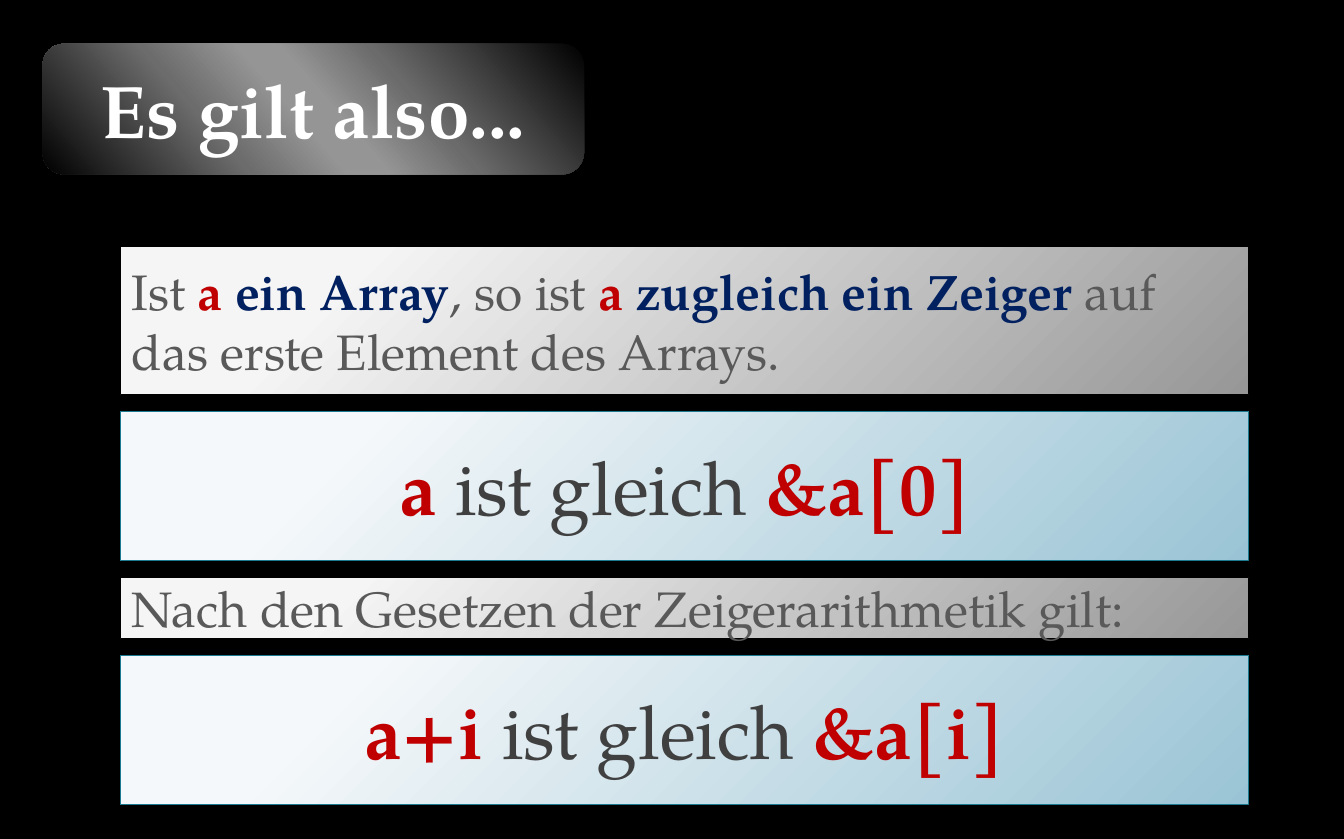
from dataclasses import dataclass

from lxml import etree
from pptx import Presentation
from pptx.dml.color import RGBColor
from pptx.enum.shapes import MSO_SHAPE as SHAPE
from pptx.enum.text import MSO_ANCHOR as ANCHOR, PP_ALIGN as ALIGN
from pptx.oxml.ns import qn
from pptx.util import Inches, Pt


@dataclass(frozen=True)
class Theme:
    font: str = "TeX Gyre Pagella"
    back: str = "000000"
    title: str = "FFFFFF"
    body: str = "595959"
    formula: str = "404040"
    code: str = "C00000"
    term: str = "002060"
    formula_line: str = "1B7990"
    body_size: int = 32
    large_size: int = 48
    title_stops: tuple = ((0, "000000"), (33, "6B6B6B"), (47, "959595"),
                          (53, "959595"), (68, "6C6C6C"), (100, "000000"))
    body_stops: tuple = ((20, "F5F5F5"), (100, "979797"))
    formula_stops: tuple = ((20, "F5F8FA"), (100, "9AC4D5"))


T = Theme()
WIDTH, HEIGHT = 12.01, 7.5
TITLE_BOX = (0.38, 0.39, 4.84, 1.17)
LEFT, TOP, PANEL_WIDTH, GAP = 1.08, 2.2, 10.08, 0.15
TALL, LOW = 1.33, 0.55


def set_gradient(s, stops, angle=None):
    """Fill linearly at an angle, or radially from the top left corner."""
    s.fill.gradient()
    grad = s.element.spPr.find(qn("a:gradFill"))
    for child in list(grad):
        grad.remove(child)
    gs_list = etree.SubElement(grad, qn("a:gsLst"))
    for pos, color in stops:
        gs = etree.SubElement(gs_list, qn("a:gs"), pos=str(pos * 1000))
        etree.SubElement(gs, qn("a:srgbClr"), val=color)
    if angle is None:
        circle = etree.SubElement(grad, qn("a:path"), path="circle")
        etree.SubElement(circle, qn("a:fillToRect"), l="-15000", t="-15000",
                         r="115000", b="115000")
    else:
        etree.SubElement(grad, qn("a:lin"), ang=str(angle * 60000), scaled="0")


def add_panel(slide, box, runs, size, stops, align, line=None,
              kind=SHAPE.RECTANGLE, angle=None):
    """Add a gradient box whose runs are (text, colour, bold)."""
    s = slide.shapes.add_shape(kind, *map(Inches, box))
    s.shadow.inherit = False
    set_gradient(s, stops, angle)
    if line:
        s.line.color.rgb = RGBColor.from_string(line)
        s.line.width = Pt(0.75)
    else:
        s.line.fill.background()
    tf = s.text_frame
    tf.word_wrap = True
    tf.vertical_anchor = ANCHOR.MIDDLE
    p = tf.paragraphs[0]
    p.alignment = align
    for text, color, bold in runs:
        r = p.add_run()
        r.text = text
        r.font.name = T.font
        r.font.size = Pt(size)
        r.font.bold = bold
        r.font.color.rgb = RGBColor.from_string(color)


def add_title(slide, box, text):
    add_panel(slide, box, [(text, T.title, True)], T.large_size, T.title_stops,
              ALIGN.CENTER, kind=SHAPE.ROUNDED_RECTANGLE, angle=139)


def add_statement(slide, box, runs):
    add_panel(slide, box, runs, T.body_size, T.body_stops, ALIGN.LEFT, T.back)


def add_formula(slide, box, pointer, address):
    runs = [(pointer + " ", T.code, True), ("ist gleich ", T.formula, False),
            (address, T.code, True)]
    add_panel(slide, box, runs, T.large_size, T.formula_stops, ALIGN.CENTER,
              T.formula_line)


def main():
    prs = Presentation()
    prs.slide_width, prs.slide_height = Inches(WIDTH), Inches(HEIGHT)
    slide = prs.slides.add_slide(prs.slide_layouts[6])
    back = slide.background.fill
    back.solid()
    back.fore_color.rgb = RGBColor.from_string(T.back)

    add_title(slide, TITLE_BOX, "Es gilt also...")
    array_rule = [
        ("Ist ", T.body, False), ("a ", T.code, True),
        ("ein Array", T.term, True), (", so ist ", T.body, False),
        ("a ", T.code, True), ("zugleich ein Zeiger", T.term, True),
        (" auf das erste Element des Arrays.", T.body, False),
    ]
    arithmetic = [("Nach den Gesetzen der Zeigerarithmetik gilt:", T.body, False)]
    rows = [
        (TALL, add_statement, (array_rule,)),
        (TALL, add_formula, ("a", "&a[0]")),
        (LOW, add_statement, (arithmetic,)),
        (TALL, add_formula, ("a+i", "&a[i]")),
    ]
    y = TOP
    for height, add_row, content in rows:
        add_row(slide, (LEFT, y, PANEL_WIDTH, height), *content)
        y += height + GAP
    prs.save("out.pptx")


if __name__ == "__main__":
    main()
